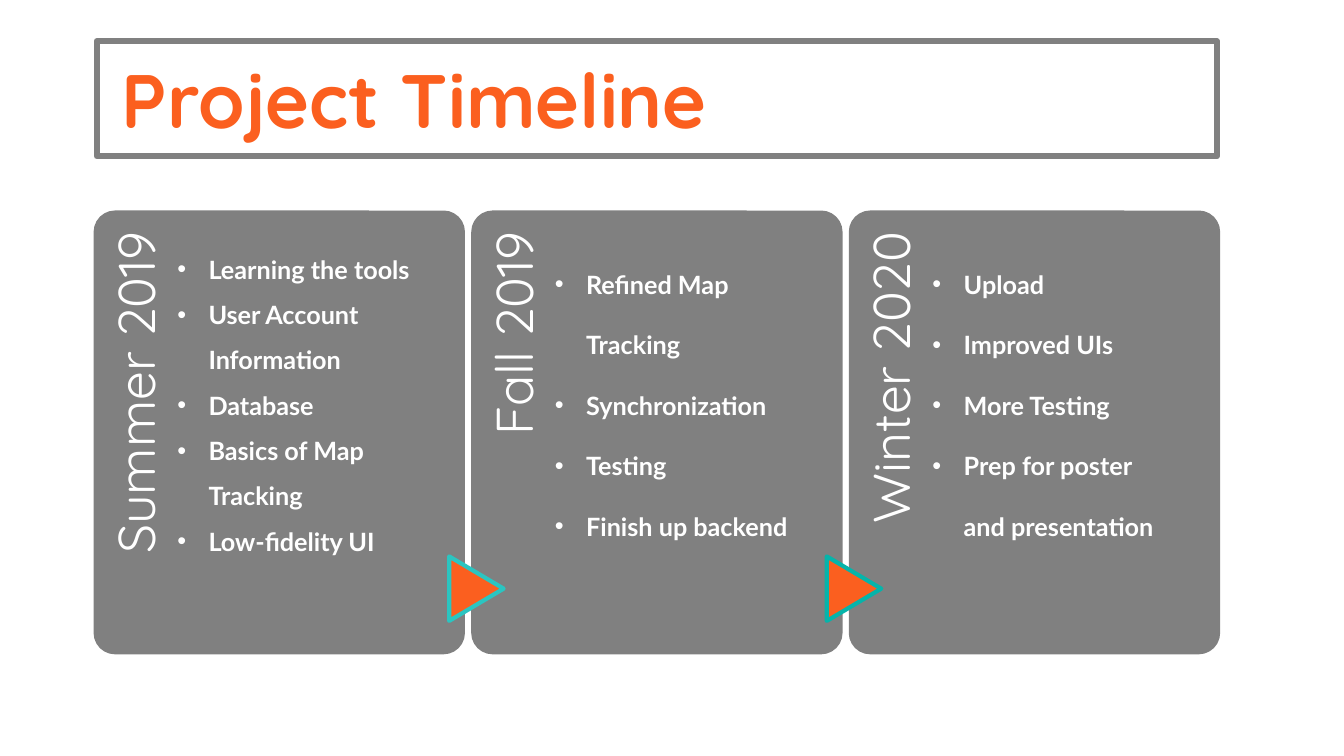
from dataclasses import dataclass

from lxml import etree
from pptx import Presentation
from pptx import util as u
from pptx.dml.color import RGBColor
from pptx.enum import shapes, text
from pptx.oxml.ns import qn


@dataclass(frozen=True)
class Theme:
    grey: str = "808080"
    orange: str = "FB5F1F"
    white: str = "FFFFFF"
    heading_font: str = "Quicksand"
    body_font: str = "Lato"
    title_size: float = 54
    season_size: float = 37
    body_size: float = 18
    frame_line: float = 4.5
    arrow_line: float = 3


THEME = Theme()
SHAPE = shapes.MSO_SHAPE

# Column grid, in inches
LEFT, TOP = 0.96, 2.12
CARD_W, CARD_H, GAP = 3.62, 4.34, 0.125
PITCH = CARD_W + GAP
CONTENT_W = 3 * CARD_W + 2 * GAP

# Season, line spacing, list height, milestones, outline of the arrow into the card
PHASES = [
    ("Summer 2019", 1.5, 3.23,
     ["Learning the tools", "User Account Information", "Database",
      "Basics of Map Tracking", "Low-fidelity UI"], None),
    ("Fall 2019", 2.0, 3.04,
     ["Refined Map Tracking", "Synchronization", "Testing",
      "Finish up backend"], "2BC5C1"),
    ("Winter 2020", 2.0, 4.26,
     ["Upload", "Improved UIs", "More Testing",
      "Prep for poster and presentation"], "06B4AA"),
]


def box(x, y, w, h):
    return [u.Inches(v) for v in (x, y, w, h)]


def add_panel(s, kind, place, fill, line, width):
    sp = s.shapes.add_shape(kind, *box(*place))
    sp.shadow.inherit = False
    if fill:
        sp.fill.solid()
        sp.fill.fore_color.rgb = RGBColor.from_string(fill)
    else:
        sp.fill.background()
    sp.line.color.rgb = RGBColor.from_string(line)
    sp.line.width = u.Pt(width)
    return sp


def set_frame(sp, insets, anchor):
    """Set wrapping, anchor and the left, top, right and bottom insets."""
    tf = sp.text_frame
    tf.word_wrap = True
    tf.vertical_anchor = anchor
    tf.margin_left, tf.margin_top, tf.margin_right, tf.margin_bottom = box(*insets)
    return tf


def add_run(p, words, font, size, color, bold=False):
    r = p.add_run()
    r.text = words
    r.font.name = font
    r.font.size = u.Pt(size)
    r.font.bold = bold
    r.font.color.rgb = RGBColor.from_string(color)


def add_bullet(p):
    pPr = p._p.get_or_add_pPr()
    pPr.set("marL", str(u.Inches(0.31)))
    pPr.set("indent", str(u.Inches(-0.31)))
    etree.SubElement(pPr, qn("a:buFont"), typeface="Arial")
    etree.SubElement(pPr, qn("a:buChar"), char="•")


def add_title(s, words):
    sp = add_panel(s, SHAPE.RECTANGLE, (LEFT, 0.41, CONTENT_W, 1.14),
                   None, THEME.grey, THEME.frame_line)
    p = set_frame(sp, (0.25, 0.05, 0.1, 0.05), text.MSO_ANCHOR.MIDDLE).paragraphs[0]
    p.alignment = text.PP_ALIGN.LEFT
    add_run(p, words, THEME.heading_font, THEME.title_size, THEME.orange, True)


def add_card(s, x, season):
    card = add_panel(s, SHAPE.ROUNDED_RECTANGLE, (x, TOP, CARD_W, CARD_H),
                     THEME.grey, THEME.grey, THEME.frame_line)
    card.adjustments[0] = 0.05
    label = s.shapes.add_textbox(*box(x - 1.42, TOP + 1.42, 3.56, 0.72))
    label.rotation = 270
    p = set_frame(label, (0, 0.14, 0.18, 0), text.MSO_ANCHOR.TOP).paragraphs[0]
    p.alignment = text.PP_ALIGN.RIGHT
    p.line_spacing = 0.9
    add_run(p, season, THEME.heading_font, THEME.season_size, THEME.white)


def add_arrow(s, x, outline):
    sp = add_panel(s, SHAPE.FLOWCHART_EXTRACT, (x - 0.3, TOP + 3.45, 0.64, 0.54),
                   THEME.orange, outline, THEME.arrow_line)
    sp.rotation = 90


def add_milestones(s, x, height, spacing, items):
    sp = s.shapes.add_textbox(*box(x + 0.7, TOP + 0.2, 2.58, height))
    tf = set_frame(sp, (0.1, 0.05, 0.1, 0.05), text.MSO_ANCHOR.TOP)
    for i, item in enumerate(items):
        p = tf.add_paragraph() if i else tf.paragraphs[0]
        p.line_spacing = spacing
        add_bullet(p)
        add_run(p, item, THEME.body_font, THEME.body_size, THEME.white, True)


def main():
    prs = Presentation()
    prs.slide_width, prs.slide_height = u.Inches(13.33), u.Inches(7.5)
    s = prs.slides.add_slide(prs.slide_layouts[6])
    add_title(s, "Project Timeline")
    for i, (season, spacing, height, items, outline) in enumerate(PHASES):
        x = LEFT + i * PITCH
        add_card(s, x, season)
        if outline:
            add_arrow(s, x, outline)
        add_milestones(s, x, height, spacing, items)
    prs.save("out.pptx")


if __name__ == "__main__":
    main()
